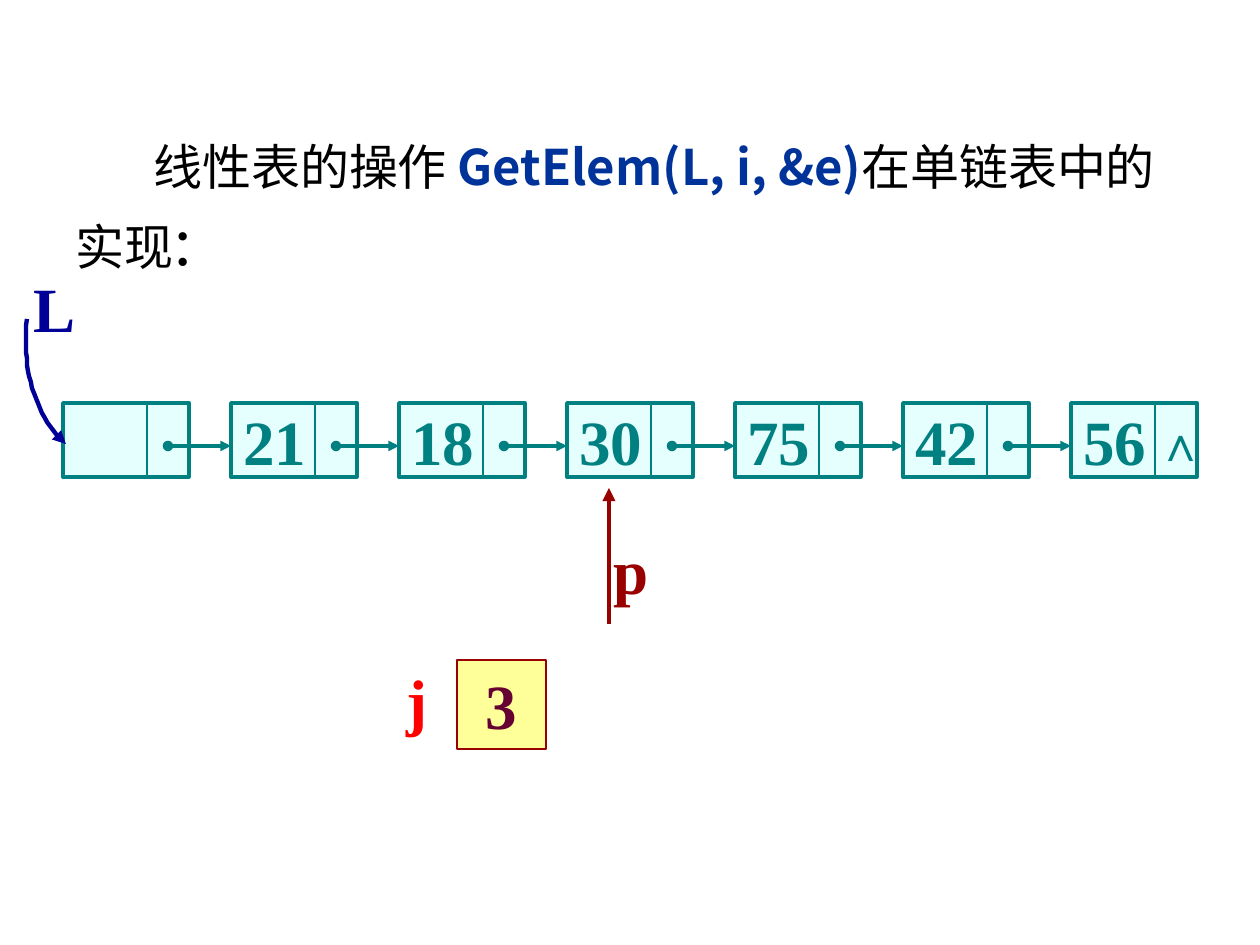
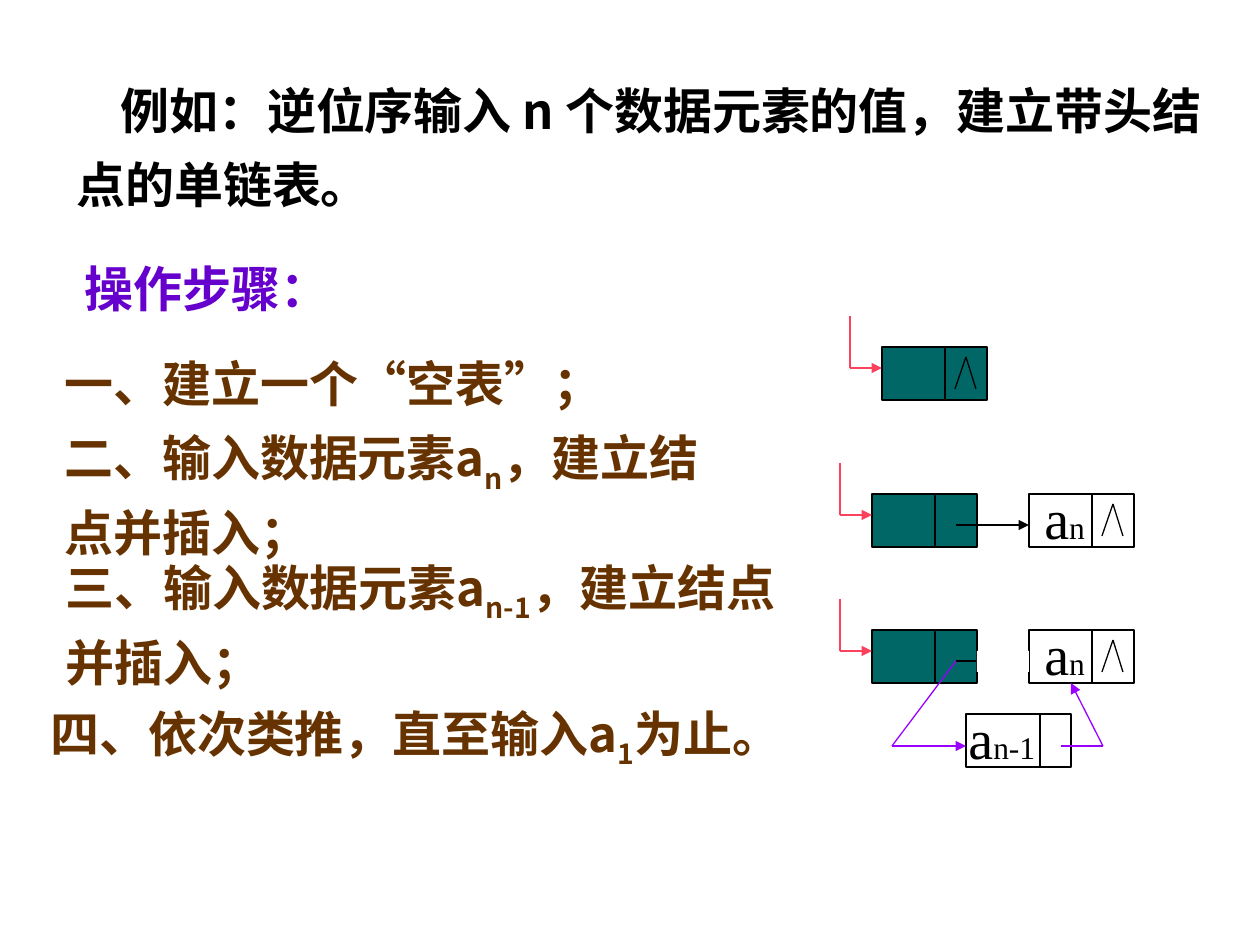
import pptx
import pptx.util
import pptx.dml.color
import pptx.enum.shapes
import pptx.enum.text
import pptx.oxml
import pptx.oxml.ns

Pt = pptx.util.Pt
RGB = pptx.dml.color.RGBColor
ALIGN = pptx.enum.text.PP_ALIGN
ANCHOR = pptx.enum.text.MSO_ANCHOR
PX = 914400 // 126  # EMU per px
SLIDE_W, SLIDE_H = 1260, 945

BLACK, WHITE = RGB(0, 0, 0), RGB(0xFF, 0xFF, 0xFF)
BLUE, NAVY = RGB(0x00, 0x33, 0x99), RGB(0x00, 0x00, 0x99)
TEAL, DARK_TEAL, AQUA = RGB(0x00, 0x80, 0x80), RGB(0x00, 0x66, 0x66), RGB(0xCC, 0xFF, 0xFF)
MAROON, PLUM, RED = RGB(0x99, 0, 0), RGB(0x66, 0, 0x33), RGB(0xFF, 0, 0)
YELLOW, PINK = RGB(0xFF, 0xFF, 0x99), RGB(0xFB, 0x41, 0x5C)
INDIGO, VIOLET, BROWN = RGB(0x66, 0, 0xCC), RGB(0x99, 0, 0xFF), RGB(0x66, 0x33, 0)

SANS, SERIF = "Noto Sans CJK SC", "Times New Roman"


def style(color, size, name=SERIF, bold=True):
    return {"color": color, "size": Pt(size), "name": name, "bold": bold}


BODY = style(BLACK, 28, SANS, False)
CODE = style(BLUE, 28, SANS)
COLON = style(BLACK, 40, SERIF, False)
HEAD = style(BLACK, 28, SANS)
STEP = style(BROWN, 28, SANS)
STEP_SUB = {**STEP, "baseline": -25000}
NODE = style(TEAL, 36)
ELEM = style(BLACK, 32, bold=False)
ELEM_SUB = style(BLACK, 18, bold=False)

# Each text: (x, y, w, h), runs, layout
GET_ELEM_TEXTS = [
    ((63, 105, 1113, 181),
     [("线性表的操作 ", BODY), ("GetElem(L, i, &e)", CODE), ("在单链表中的实现", BODY), (":", COLON)],
     {"wrap": True, "leading": 48, "indent": 78}),
    ((21, 263, 67, 88), [("L", style(NAVY, 36))], {}),
    ((601, 525, 60, 88), [("p", style(MAROON, 36))], {}),
    ((394, 655, 45, 88), [("j", style(RED, 36))], {}),
    ((1144, 406, 74, 72), [("∧", style(TEAL, 28))], {}),
]
LIST_VALUES = ["", "21", "18", "30", "75", "42", "56"]
HEAD_CURVE = [(27, 319), (21, 374), (38, 420), (66, 444)]

BUILD_TEXTS = [
    ((64, 60, 1164, 154), [("例如：逆位序输入 n 个数据元素的值，建立带头结点的单链表。", HEAD)],
     {"wrap": True, "leading": 42, "indent": 44}),
    ((72, 248, 270, 72), [("操作步骤：", style(INDIGO, 28))], {"leading": 36}),
    ((52, 343, 563, 72), [("一、建立一个“空表”；", style(BROWN, 28))], {"leading": 36}),
    ((52, 422, 687, 139),
     [("二、输入数据元素a", STEP), ("n", STEP_SUB), ("，建立结点并插入；", STEP)],
     {"wrap": True, "leading": 38}),
    ((53, 552, 746, 139),
     [("三、输入数据元素a", STEP), ("n-1", STEP_SUB), ("，建立结点并插入；", STEP)],
     {"wrap": True, "leading": 38}),
    ((38, 701, 780, 79),
     [("四、依次类推，直至输入a", STEP), ("1", STEP_SUB), ("为止。", STEP)], {"leading": 36}),
]
HEAD_NODES = [(882, 347), (872, 494), (872, 630)]
LAST_NODES = [(1029, 494), (1029, 630)]
NEW_NODE = (966, 714)
INSERT_ARROWS = [
    [(1061, 746), (1103, 746), (1071, 683)],
    [(956, 661), (892, 746), (966, 746)],
]


def emu(values):
    return [v * PX for v in values]


def sub(parent, tag, **attrs):
    el = pptx.oxml.parse_xml(f"<{tag} {pptx.oxml.ns.nsdecls('a')}/>")
    for key, value in attrs.items():
        el.set(key, value)
    parent.append(el)


def write(tf, runs, wrap=False, leading=None, indent=0, align=ALIGN.LEFT, anchor=ANCHOR.TOP):
    tf.word_wrap, tf.vertical_anchor = wrap, anchor
    p = tf.paragraphs[0]
    p.alignment = align
    if leading:
        p.line_spacing = Pt(leading)
    if indent:
        p._p.get_or_add_pPr().set("indent", str(indent * PX))
    for text, fmt in runs:
        r = p.add_run()
        r.text = text
        for key in ("size", "name", "bold"):
            setattr(r.font, key, fmt[key])
        r.font.color.rgb = fmt["color"]
        rpr = r._r.get_or_add_rPr()
        sub(rpr, "a:ea", typeface=SANS)
        if "baseline" in fmt:
            rpr.set("baseline", str(fmt["baseline"]))


def add_text(s, frame, runs, layout):
    write(s.shapes.add_textbox(*emu(frame)).text_frame, runs, **layout)


def add_box(s, frame, fill=None, line=None, width=0.75, alpha=None):
    sp = s.shapes.add_shape(pptx.enum.shapes.MSO_SHAPE.RECTANGLE, *emu(frame))
    sp.shadow.inherit = False
    if fill is None:
        sp.fill.background()
    else:
        sp.fill.solid()
        sp.fill.fore_color.rgb = fill
    if alpha:
        color = sp._element.spPr.find(".//" + pptx.oxml.ns.qn("a:srgbClr"))
        sub(color, "a:alpha", val=str(alpha * 1000))
    if line is None:
        sp.line.fill.background()
    else:
        set_line(sp, line, width)
    return sp


def set_line(sp, color, width, head=None, tail=None):
    sp.line.color.rgb = color
    sp.line.width = Pt(width)
    for tag, kind in (("a:headEnd", head), ("a:tailEnd", tail)):
        if kind:
            sub(sp.line._get_or_add_ln(), tag, type=kind)


def add_line(s, start, end, color=BLACK, width=0.75, head=None, tail=None):
    sp = s.shapes.add_connector(pptx.enum.shapes.MSO_CONNECTOR.STRAIGHT, *emu(start + end))
    set_line(sp, color, width, head, tail)
    sub(sp._element.spPr, "a:effectLst")


def add_route(s, points, color, tail=None):
    """Join the points with straight lines; the last one carries the arrowhead."""
    for start, end in zip(points, points[1:]):
        add_line(s, start, end, color, tail=tail if end == points[-1] else None)


def add_curve_arrow(s, ctrl, color, width, steps=24):
    """Cubic curve through four control points, ending in an arrowhead."""
    points = []
    for k in range(steps + 1):
        t = k / steps
        weights = ((1 - t) ** 3, 3 * t * (1 - t) ** 2, 3 * t * t * (1 - t), t ** 3)
        points.append(tuple(sum(w * c[axis] for w, c in zip(weights, ctrl)) for axis in (0, 1)))
    fb = s.shapes.build_freeform(*points[0], scale=PX)
    fb.add_line_segments(points[1:], close=False)
    sp = fb.convert_to_shape()
    sp.shadow.inherit = False
    sp.fill.background()
    set_line(sp, color, width, tail="triangle")


def add_small_node(s, x, y, fill=None, divider=63, label=None, label_dx=3, label_w=66):
    add_box(s, (x, y, 105, 53), fill, BLACK)
    add_line(s, (x + divider, y), (x + divider, y + 53))
    if label:
        add_text(s, (x + label_dx, y - 17, label_w, 81), [("a", ELEM), (label, ELEM_SUB)], {})


def add_null_mark(s, x, y):
    add_route(s, [(x + 73, y + 42), (x + 84, y + 10), (x + 94, y + 42)], BLACK)


def get_elem_slide(s):
    top, w, h, pitch = 403, 126, 74, 168
    for i, value in enumerate(LIST_VALUES):
        x = 63 + i * pitch
        sp = add_box(s, (x, top, w, h), AQUA, TEAL, 2, alpha=50)
        if value:
            write(sp.text_frame, [(value, NODE)], wrap=True, anchor=ANCHOR.MIDDLE)
        add_line(s, (x + 84, top), (x + 84, top + h), TEAL)
        if i < len(LIST_VALUES) - 1:
            add_line(s, (x + 105, 446), (x + pitch, 446), TEAL, 2, "oval", "triangle")
    add_curve_arrow(s, HEAD_CURVE, NAVY, 2.5)
    add_line(s, (609, 624), (609, 488), MAROON, 2.5, tail="triangle")
    counter = add_box(s, (457, 660, 89, 89), YELLOW, MAROON)
    write(counter.text_frame, [("3", style(PLUM, 36))], wrap=True, align=ALIGN.CENTER)
    for item in GET_ELEM_TEXTS:
        add_text(s, *item)


def build_list_slide(s):
    for item in BUILD_TEXTS:
        add_text(s, *item)
    for x, y in HEAD_NODES:
        add_small_node(s, x, y, DARK_TEAL)
        add_route(s, [(x - 32, y - 31), (x - 32, y + 21), (x, y + 21)], PINK, "triangle")
    for x, y in LAST_NODES:
        add_small_node(s, x, y, label="n")
    for x, y in HEAD_NODES[:1] + LAST_NODES:
        add_null_mark(s, x, y)
    add_line(s, (956, 525), (1029, 525), tail="triangle")
    add_line(s, (956, 661), (977, 661))
    add_small_node(s, *NEW_NODE, divider=74, label="n-1", label_dx=-10, label_w=92)
    for points in INSERT_ARROWS:
        add_route(s, points, VIOLET, "triangle")
    add_box(s, (977, 651, 52, 21), WHITE)  # gap where the old link was cut


def main():
    prs = pptx.Presentation()
    prs.slide_width, prs.slide_height = emu((SLIDE_W, SLIDE_H))
    for draw in (get_elem_slide, build_list_slide):
        draw(prs.slides.add_slide(prs.slide_layouts[6]))
    prs.save("out.pptx")


if __name__ == "__main__":
    main()
